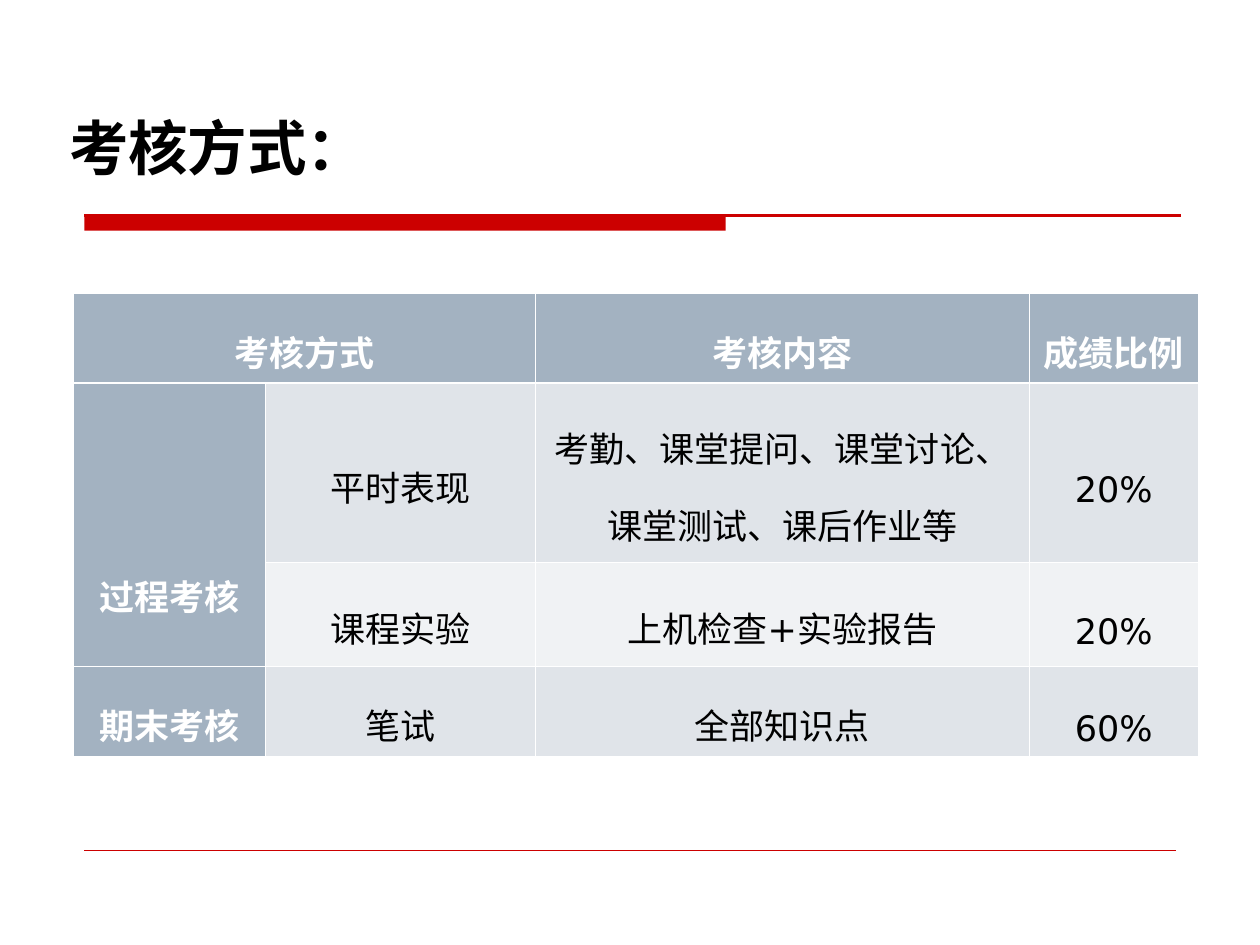
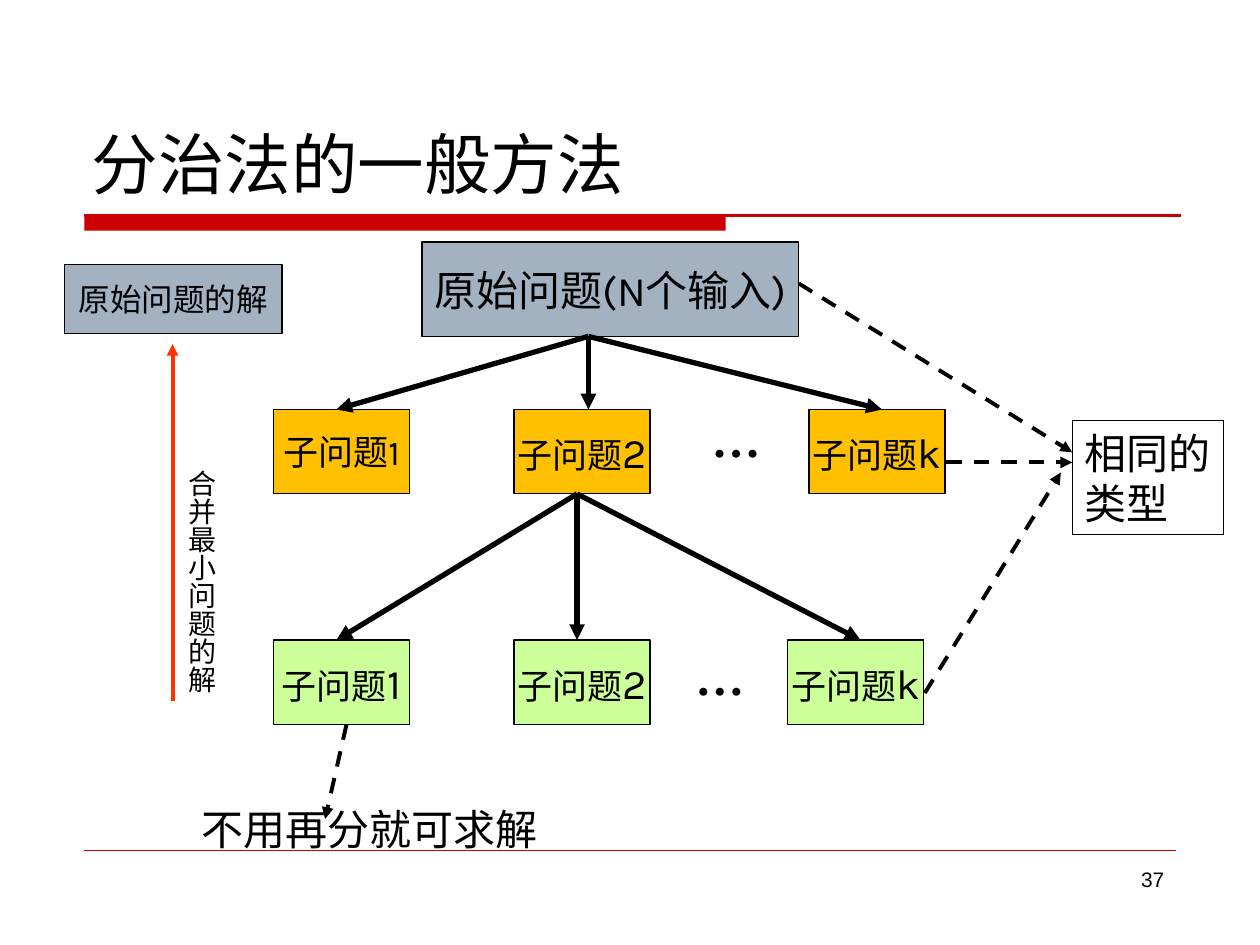
from lxml.etree import SubElement
from pptx import Presentation
from pptx.dml.color import RGBColor
from pptx.enum.dml import MSO_LINE
from pptx.enum.shapes import MSO_CONNECTOR, MSO_SHAPE
from pptx.enum.text import MSO_ANCHOR, MSO_AUTO_SIZE, PP_ALIGN
from pptx.oxml.ns import qn
from pptx.util import Inches, Pt

BLACK = RGBColor(0x00, 0x00, 0x00)
WHITE = RGBColor(0xFF, 0xFF, 0xFF)
RED = RGBColor(0xCC, 0x00, 0x00)
ORANGE_RED = RGBColor(0xFF, 0x33, 0x00)
STEEL = RGBColor(0xA3, 0xB2, 0xC1)
PALE = RGBColor(0xE0, 0xE4, 0xE9)
PALEST = RGBColor(0xF0, 0xF2, 0xF4)
AMBER = RGBColor(0xFF, 0xC0, 0x00)
LIME = RGBColor(0xCC, 0xFF, 0x99)

HEADING_FONT = "DejaVu Sans"
DIAGRAM_FONT = "Karla"

GRADING = [
    ["考核方式", "", "考核内容", "成绩比例"],
    ["过程考核", "平时表现", "考勤、课堂提问、课堂讨论、课堂测试、课后作业等", "20%"],
    ["", "课程实验", "上机检查+实验报告", "20%"],
    ["期末考核", "笔试", "全部知识点", "60%"],
]
COLUMN_WIDTHS = [1.53, 2.14, 3.92, 1.34]
ROW_HEIGHTS = [0.67, 1.42, 0.83, 0.69]
CALIBRI_CELLS = {(1, 2), (2, 1)}
LINE_PITCH = 44


def add_span(para, text, size, font=DIAGRAM_FONT, color=BLACK, bold=False):
    span = para.add_run()
    span.text = text
    for name, value in {"size": Pt(size), "name": font, "bold": bold}.items():
        setattr(span.font, name, value)
    span.font.color.rgb = color


def fill_frame(frame, lines, align=PP_ALIGN.LEFT, **style):
    """Write each line as a paragraph; a line is a list of (text, size)."""
    for index, line in enumerate(lines):
        para = frame.paragraphs[0] if index == 0 else frame.add_paragraph()
        para.alignment = align
        for text, size in line:
            add_span(para, text, size, **style)


def add_text(slide, place, lines, wrap=False, anchor=MSO_ANCHOR.TOP, **style):
    box = slide.shapes.add_textbox(*map(Inches, place))
    frame = box.text_frame
    frame.word_wrap = wrap
    frame.auto_size = MSO_AUTO_SIZE.NONE if wrap else MSO_AUTO_SIZE.SHAPE_TO_FIT_TEXT
    frame.vertical_anchor = anchor
    fill_frame(frame, lines, **style)
    return box


def add_vertical_text(slide, place, text, size):
    frame = add_text(slide, place, [[(text, size)]]).text_frame
    frame.margin_left = frame.margin_right = Inches(0.05)
    frame.margin_top = frame.margin_bottom = Inches(0.1)
    frame._txBody.bodyPr.set("vert", "eaVert")


def add_box(slide, place, lines=(), fill=None, outline=BLACK,
            anchor=MSO_ANCHOR.MIDDLE, align=PP_ALIGN.CENTER, **style):
    box = slide.shapes.add_shape(MSO_SHAPE.RECTANGLE, *map(Inches, place))
    box.shadow.inherit = False
    if fill is None:
        box.fill.background()
    else:
        box.fill.solid()
        box.fill.fore_color.rgb = fill
    if outline is None:
        box.line.fill.background()
    else:
        box.line.color.rgb = outline
        box.line.width = Pt(0.75)
    box.text_frame.word_wrap = False
    box.text_frame.vertical_anchor = anchor
    fill_frame(box.text_frame, lines, align, **style)


def add_line(slide, start, end, width, color=BLACK, dashed=False, arrow=True):
    line = slide.shapes.add_connector(
        MSO_CONNECTOR.STRAIGHT, *map(Inches, (*start, *end)))
    line.line.color.rgb = color
    line.line.width = Pt(width)
    if dashed:
        line.line.dash_style = MSO_LINE.DASH
    if arrow:
        SubElement(line.line._get_or_add_ln(), qn("a:tailEnd"), type="triangle")
    SubElement(line._element.spPr, qn("a:effectLst"))


def add_page(deck, title, title_place, size, bold=False):
    """Add a slide with the red title rule, the footer line and a title."""
    page = deck.slides.add_slide(deck.slide_layouts[6])
    add_box(page, (0.67, 1.71, 5.09, 0.12), fill=RED, outline=None)
    add_line(page, (0.67, 1.71), (9.37, 1.71), 1.25, RED, arrow=False)
    add_line(page, (0.67, 6.75), (9.33, 6.75), 0.25, RED, arrow=False)
    add_text(page, title_place, [[(title, size)]], wrap=True,
             anchor=MSO_ANCHOR.BOTTOM, font=HEADING_FONT, bold=bold)
    return page


def add_cell_borders(cell, top, bottom):
    """Draw white borders, with the given widths above and below."""
    properties = cell._tc.get_or_add_tcPr()
    for side, width in {"L": 0.45, "R": 0.45, "T": top, "B": bottom}.items():
        border = SubElement(properties, qn(f"a:ln{side}"), w=str(Pt(width)))
        paint = SubElement(border, qn("a:solidFill"))
        SubElement(paint, qn("a:srgbClr"), val=str(WHITE))


def add_grading_table(slide):
    place = (0.58, 2.33, sum(COLUMN_WIDTHS), sum(ROW_HEIGHTS))
    table = slide.shapes.add_table(
        len(GRADING), len(COLUMN_WIDTHS), *map(Inches, place)).table
    table.first_row = table.horz_banding = False
    for column, width in zip(table.columns, COLUMN_WIDTHS):
        column.width = Inches(width)
    for row, height in zip(table.rows, ROW_HEIGHTS):
        row.height = Inches(height)
    table.cell(0, 0).merge(table.cell(0, 1))
    table.cell(1, 0).merge(table.cell(2, 0))

    for r, texts in enumerate(GRADING):
        for c, text in enumerate(texts):
            cell = table.cell(r, c)
            heading = r == 0 or c == 0
            add_cell_borders(cell, top=1.47 if r == 1 else 0.45,
                             bottom=1.47 if r == 0 else 0.45)
            cell.fill.solid()
            cell.fill.fore_color.rgb = STEEL if heading else (PALEST if r == 2 else PALE)
            cell.margin_left = cell.margin_right = Inches(0.08)
            cell.vertical_anchor = MSO_ANCHOR.TOP if c == 0 else MSO_ANCHOR.MIDDLE
            if not text:
                continue
            fill_frame(cell.text_frame, [[(text, 20)]], PP_ALIGN.CENTER,
                       font="Calibri" if (r, c) in CALIBRI_CELLS else HEADING_FONT,
                       color=WHITE if heading else BLACK, bold=heading)
            cell.text_frame.paragraphs[0].line_spacing = Pt(LINE_PITCH)
    table.cell(1, 0).margin_top = Inches(0.05) + Pt(2 * LINE_PITCH)


def add_subproblems(slide, top, fill, lefts, number_sizes, dots_place, root, tips):
    """Add one level of subproblems and the arrows from root down to it."""
    for left, mark, size in zip(lefts, "12k", number_sizes):
        add_box(slide, (left, top, 1.08, 0.67), [[("子问题", 20), (mark, size)]], fill)
    add_text(slide, (*dots_place, 0.59, 0.57), [[("…", 28)]],
             font="Times New Roman", bold=True)
    for tip in tips:
        add_line(slide, root, (tip, top), 3)


def build_grading_page(deck):
    page = add_page(deck, "考核方式：", (0.45, 0.74, 9.22, 0.76), 34, bold=True)
    add_grading_table(page)


def build_divide_page(deck):
    page = add_page(deck, "分治法的一般方法", (0.63, 0.33, 8.75, 1.33), 38)
    add_text(page, (7.17, 6.83, 2.17, 0.52), [[("37", 12)]], wrap=True,
             font="Arial", align=PP_ALIGN.RIGHT)
    add_box(page, (3.35, 1.92, 2.99, 0.75), [[("原始问题(N个输入)", 24)]], STEEL)
    add_subproblems(page, 3.25, AMBER, (2.17, 4.08, 6.42), (20, 24, 24),
                    (5.55, 3.19), (4.67, 2.67), (2.67, 4.67, 7))
    add_subproblems(page, 5.08, LIME, (2.17, 4.08, 6.25), (24, 24, 24),
                    (5.42, 5.08), (4.58, 3.92), (2.67, 4.58, 6.83))

    add_box(page, (8.51, 3.34, 1.2, 0.9), [[("相同的", 24)], [("类型", 24)]],
            anchor=MSO_ANCHOR.TOP, align=PP_ALIGN.LEFT)
    add_text(page, (1.5, 6.33, 3.2, 0.5), [[("不用再分就可求解", 24)]], wrap=True)
    for start, end in [((6.34, 2.25), (8.51, 3.59)), ((7.51, 3.67), (8.51, 3.67)),
                       ((7.34, 5.5), (8.42, 3.75)), ((2.75, 5.75), (2.58, 6.5))]:
        add_line(page, start, end, 2.25, dashed=True)

    add_line(page, (1.37, 5.56), (1.37, 2.73), 2.25, ORANGE_RED)
    add_vertical_text(page, (1.32, 3.63, 0.46, 1.88), "合并最小问题的解", 16)
    add_box(page, (0.51, 2.1, 1.73, 0.55), [[("原始问题的解", 18)]], STEEL,
            font=HEADING_FONT)


def main():
    deck = Presentation()
    deck.slide_width, deck.slide_height = Inches(10), Inches(7.5)
    build_grading_page(deck)
    build_divide_page(deck)
    deck.save("out.pptx")


if __name__ == "__main__":
    main()
